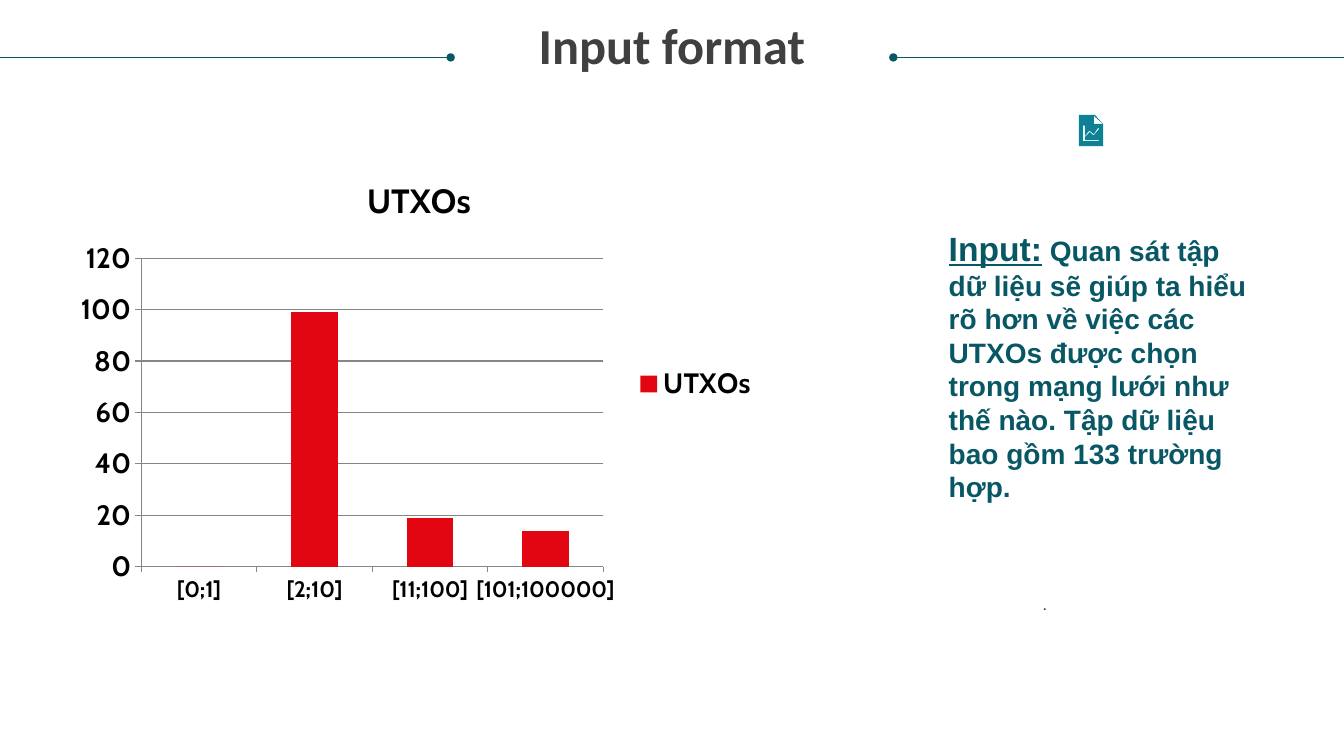
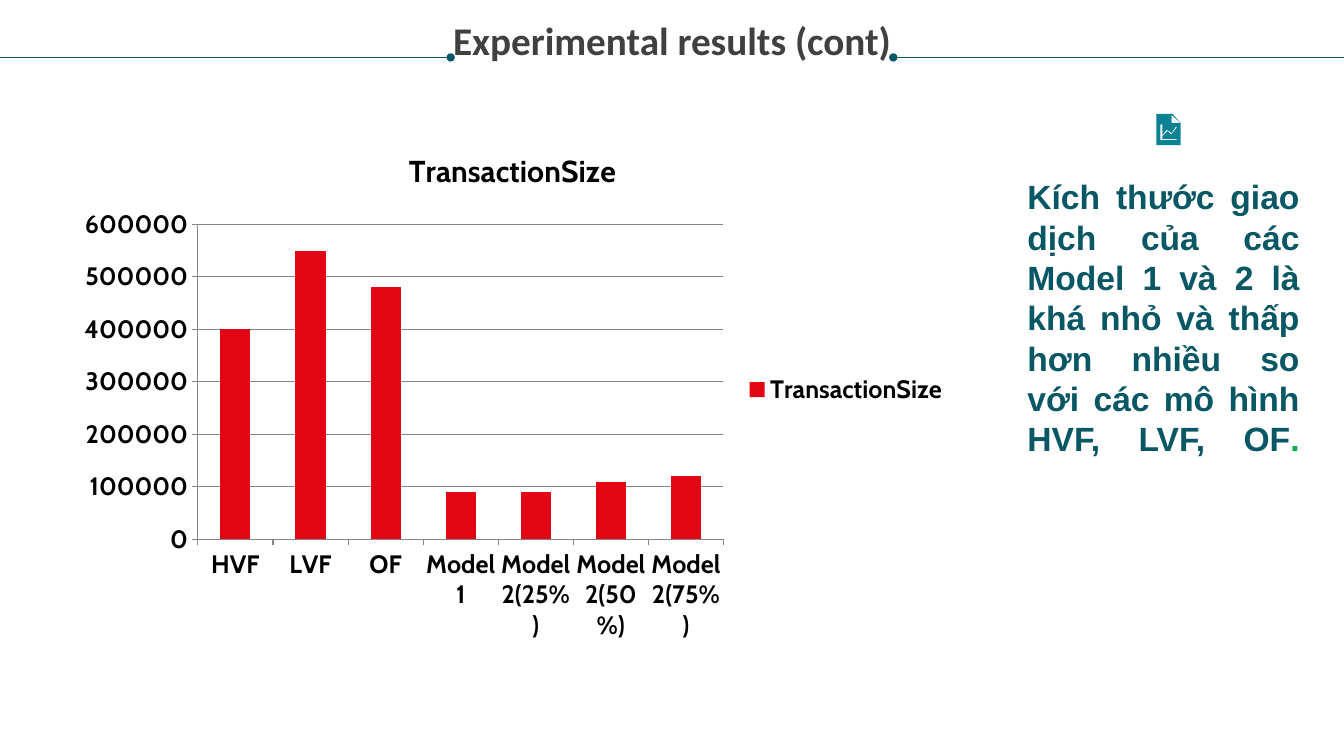
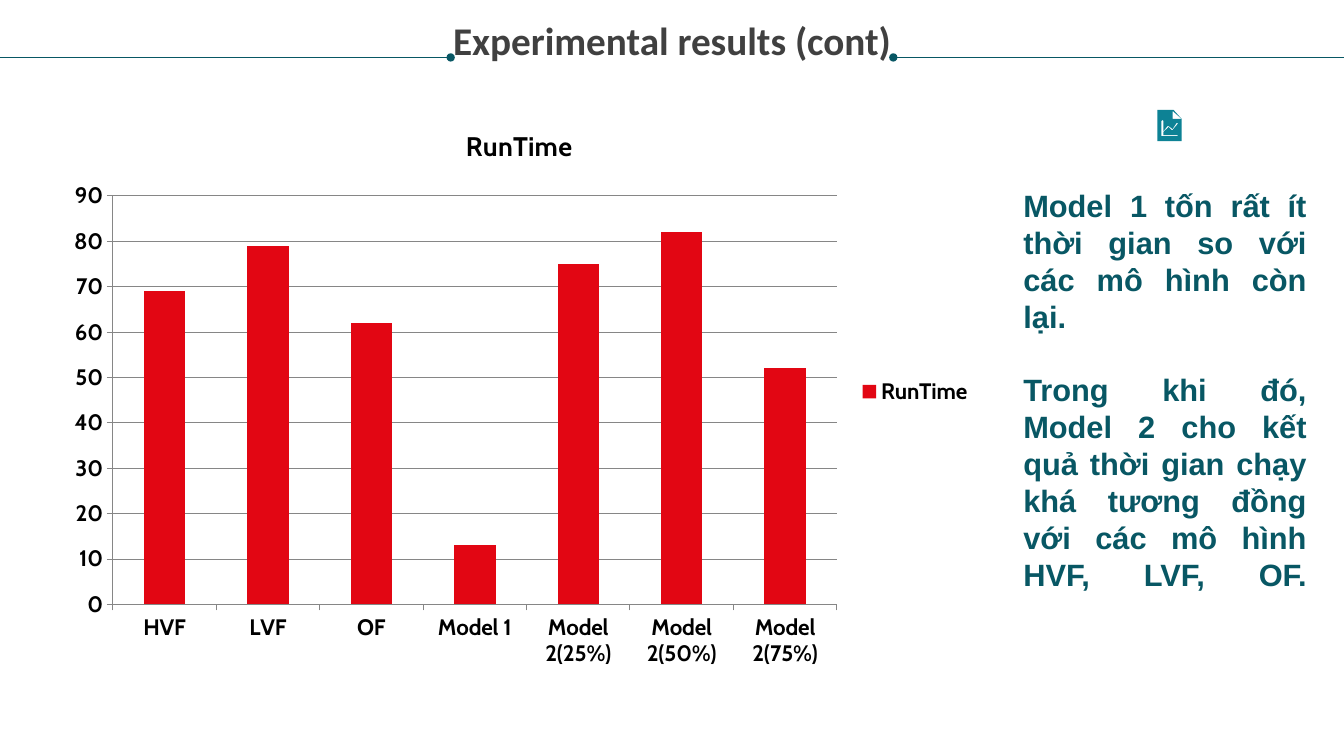
from dataclasses import dataclass

from lxml.etree import SubElement
from pptx import Presentation
from pptx.chart.data import CategoryChartData
from pptx.dml.color import RGBColor
from pptx.enum.chart import XL_CHART_TYPE as ChartType
from pptx.enum.chart import XL_LEGEND_POSITION as LegendPosition
from pptx.enum.chart import XL_TICK_MARK as TickMark
from pptx.enum.shapes import MSO_CONNECTOR as Connector
from pptx.enum.text import MSO_AUTO_SIZE as AutoSize
from pptx.enum.text import PP_ALIGN as Align
from pptx.oxml.ns import qn
from pptx.slide import Slide
from pptx.text.text import Font
from pptx.util import Inches, Pt

# Shared look
TEAL, ICON_TEAL, GREEN = "085764", "0D8295", "00B050"
GREY, GRID, BLACK, RED, WHITE = "404040", "868686", "000000", "E20613", "FFFFFF"
SLIDE_WIDTH, RULE_WIDTH, RULE_Y = 13.33, 4.47, 0.57
TITLE_BOX = (0.25, 0.21, 12.83, 0.85)

# Report icon in hundredths of an inch: folded corner, plot, page
ICON_CONTOURS = (
    ((15, 9), (15, 1), (24, 9)),
    ((20, 26), (4, 26), (4, 11), (5, 10), (6, 11), (6, 21), (10, 16), (11, 16),
     (15, 19), (19, 13), (20, 13), (20, 14), (15, 20), (14, 20), (11, 17),
     (6, 22), (6, 25), (20, 25)),
    ((24, 9), (16, 0), (0, 0), (0, 31), (24, 31)),
)


@dataclass
class TextRun:
    text: str
    size: float
    color: str = TEAL
    font: str = "Arial"
    bold: bool = True
    underline: bool = False


@dataclass
class TextParagraph:
    runs: list[TextRun]
    align: Align = Align.LEFT
    spacing: float | Pt | None = None
    space_after: float = 0
    closing_break: bool = False


@dataclass
class TextBlock:
    box: tuple[float, float, float, float]
    paragraphs: list[TextParagraph]


@dataclass
class ColumnChart:
    box: tuple[float, float, float, float]
    name: str
    categories: tuple[str, ...]
    values: tuple[int, ...]
    size: float
    category_size: float


@dataclass
class ChartSlide:
    title: str
    title_size: float
    blocks: list[TextBlock]
    icon_at: tuple[float, float]
    chart: ColumnChart


def rgb(color: str) -> RGBColor:
    return RGBColor.from_string(color)


def style_font(font: Font, name: str, size: float, color: str, bold: bool = True) -> None:
    font.name, font.size, font.bold = name, Pt(size), bold
    font.color.rgb = rgb(color)


def add_text(slide: Slide, block: TextBlock) -> None:
    frame = slide.shapes.add_textbox(*map(Inches, block.box)).text_frame
    frame.word_wrap = True
    frame.auto_size = AutoSize.SHAPE_TO_FIT_TEXT
    frame.margin_left = frame.margin_right = frame.margin_top = frame.margin_bottom = 0
    for index, item in enumerate(block.paragraphs):
        paragraph = frame.add_paragraph() if index else frame.paragraphs[0]
        paragraph.alignment = item.align
        if item.spacing:
            paragraph.line_spacing = item.spacing
        if item.space_after:
            paragraph.space_after = Pt(item.space_after)
        for part in item.runs:
            run = paragraph.add_run()
            run.text = part.text
            style_font(run.font, part.font, part.size, part.color, part.bold)
            if part.underline:
                run.font.underline = True
        if item.closing_break:  # also stretches the last justified line
            paragraph.add_line_break()


def add_rule(slide: Slide, start: float, end: float, dot_end: str) -> None:
    rule = slide.shapes.add_connector(
        Connector.STRAIGHT, Inches(start), Inches(RULE_Y), Inches(end), Inches(RULE_Y))
    rule.line.color.rgb = rgb(TEAL)
    rule.line.width = Pt(0.5)
    properties = rule._element.spPr
    SubElement(properties.find(qn("a:ln")), qn(dot_end)).set("type", "oval")
    SubElement(properties, qn("a:effectLst"))


def add_header(slide: Slide, title: str, size: float) -> None:
    add_rule(slide, SLIDE_WIDTH - RULE_WIDTH, SLIDE_WIDTH, "a:headEnd")
    add_text(slide, TextBlock(TITLE_BOX, [
        TextParagraph([TextRun(title, size, GREY, "Calibri")], Align.CENTER, 0.9)]))
    add_rule(slide, 0, RULE_WIDTH, "a:tailEnd")


def add_icon(slide: Slide, left: float, top: float) -> None:
    first, *others = ICON_CONTOURS
    builder = slide.shapes.build_freeform(*first[0], scale=Inches(0.01))
    builder.add_line_segments(first[1:], close=True)
    for contour in others:
        builder.move_to(*contour[0])
        builder.add_line_segments(contour[1:], close=True)
    icon = builder.convert_to_shape(Inches(left), Inches(top))
    icon.shadow.inherit = False
    icon.fill.solid()
    icon.fill.fore_color.rgb = rgb(ICON_TEAL)
    icon.line.fill.background()


def add_column_chart(slide: Slide, content: ColumnChart) -> None:
    data = CategoryChartData()
    data.categories = content.categories
    data.add_series(content.name, content.values)
    chart = slide.shapes.add_chart(
        ChartType.COLUMN_CLUSTERED, *map(Inches, content.box), data).chart
    style_font(chart.font, "Cabin", content.size, BLACK)

    # Title and legend
    chart.has_title = True
    run = chart.chart_title.text_frame.paragraphs[0].add_run()
    run.text = content.name
    style_font(run.font, "Cabin", content.size * 1.2, BLACK)
    chart.chart_title.include_in_layout = False
    chart.has_legend = True
    chart.legend.position = LegendPosition.RIGHT
    chart.legend.include_in_layout = False

    # Axes
    chart.value_axis.has_major_gridlines = True
    for line in (chart.value_axis.major_gridlines.format.line,
                 chart.value_axis.format.line, chart.category_axis.format.line):
        line.color.rgb = rgb(GRID)
        line.width = Pt(0.75)
    for axis in (chart.value_axis, chart.category_axis):
        axis.major_tick_mark = TickMark.OUTSIDE
        axis.minor_tick_mark = TickMark.NONE
    style_font(chart.category_axis.tick_labels.font, "Cabin", content.category_size, BLACK)

    # Columns
    plot = chart.plots[0]
    plot.gap_width = 150
    plot.vary_by_categories = False
    fill = plot.series[0].format.fill
    fill.solid()
    fill.fore_color.rgb = rgb(RED)


# Content
MODELS = ("HVF", "LVF", "OF", "Model 1", "Model 2(25%)", "Model 2(50%)", "Model 2(75%)")
RESULTS_TITLE = "Experimental results (cont)"

SLIDES = [
    ChartSlide(
        "Input format", 36,
        [TextBlock((9.41, 2.26, 3.07, 3.7), [TextParagraph([
            TextRun("Input:", 24, underline=True),
            TextRun(" Quan sát tập dữ liệu sẽ giúp ta hiểu rõ hơn về việc các UTXOs "
                    "được chọn trong mạng lưới như thế nào. Tập dữ liệu bao gồm "
                    "133 trường hợp.", 20)])]),
         TextBlock((8.05, 5.83, 4.67, 0.24), [TextParagraph(
             [TextRun(". ", 14, GREY, "Cabin", bold=False)], Align.CENTER, Pt(19))])],
        (10.7, 1.14),
        ColumnChart((0.69, 1.55, 6.93, 4.52), "UTXOs",
                    ("[0;1]", "[2;10]", "[11;100]", "[101;100000]"),
                    (0, 99, 19, 14), 20, 16)),
    ChartSlide(
        RESULTS_TITLE, 28,
        [TextBlock((10.19, 1.75, 2.7, 3.3), [TextParagraph([
            TextRun("Kích thước giao dịch của các Model 1 và 2 là khá nhỏ và thấp "
                    "hơn nhiều so với các mô hình HVF, LVF, OF", 24),
            TextRun(".", 24, GREEN)], Align.JUSTIFY, closing_break=True)])],
        (11.47, 1.13),
        ColumnChart((0.66, 1.27, 8.85, 5.19), "TransactionSize", MODELS,
                    (400000, 550000, 480000, 90000, 90000, 110000, 120000), 18, 18)),
    ChartSlide(
        RESULTS_TITLE, 28,
        [TextBlock((10.15, 1.85, 2.81, 4.44), [
            TextParagraph([TextRun("Model 1 tốn rất ít thời gian so với các mô hình "
                                   "còn lại. ", 22)], Align.JUSTIFY, space_after=26),
            TextParagraph([TextRun("Trong khi đó, Model 2 cho kết quả thời gian chạy khá "
                                   "tương đồng với các mô hình HVF, LVF, OF.", 22)],
                          Align.JUSTIFY, closing_break=True)])],
        (11.48, 1.09),
        ColumnChart((0.55, 1.04, 9.2, 5.69), "RunTime", MODELS,
                    (69, 79, 62, 13, 75, 82, 52), 16, 16)),
]


def main() -> None:
    presentation = Presentation()
    presentation.slide_width, presentation.slide_height = Inches(SLIDE_WIDTH), Inches(7.5)
    for content in SLIDES:
        slide = presentation.slides.add_slide(presentation.slide_layouts[6])
        slide.background.fill.solid()
        slide.background.fill.fore_color.rgb = rgb(WHITE)
        add_header(slide, content.title, content.title_size)
        for block in content.blocks:
            add_text(slide, block)
        add_icon(slide, *content.icon_at)
        add_column_chart(slide, content.chart)
    presentation.save("out.pptx")


main()
